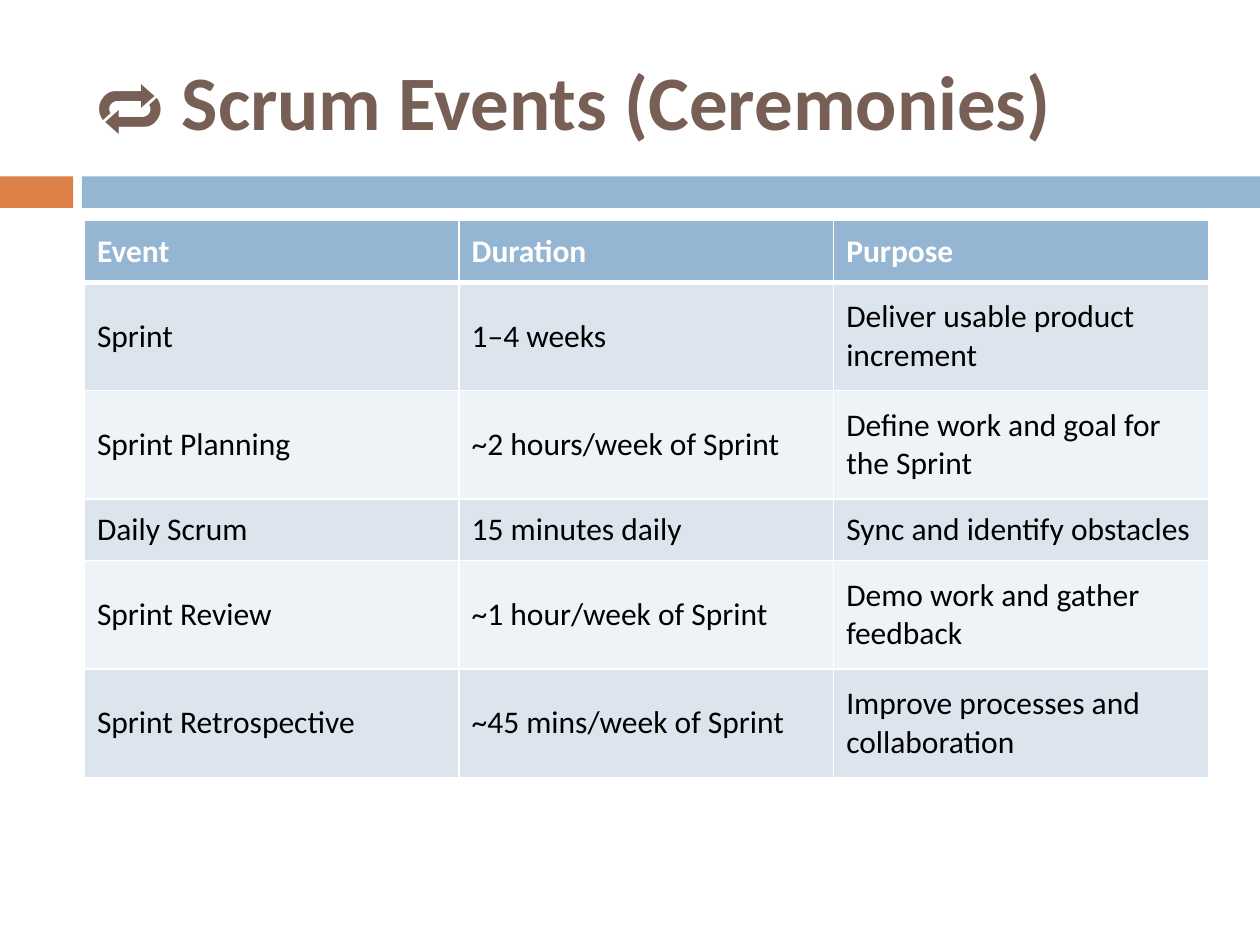
from lxml.etree import SubElement
from pptx import Presentation
from pptx.dml.color import RGBColor
from pptx.enum.shapes import MSO_SHAPE
from pptx.enum.text import MSO_ANCHOR
from pptx.oxml.ns import qn
from pptx.util import Inches, Pt

COLORS = {
    "orange": "DD8047",
    "blue": "94B6D2",
    "brown": "775F55",
    "white": "FFFFFF",
    "black": "000000",
    "band_dark": "DCE5EE",
    "band_light": "EEF3F7",
}

EVENTS = [
    ("Event", "Duration", "Purpose"),
    ("Sprint", "1–4 weeks", "Deliver usable product increment"),
    ("Sprint Planning", "~2 hours/week of Sprint", "Define work and goal for the Sprint"),
    ("Daily Scrum", "15 minutes daily", "Sync and identify obstacles"),
    ("Sprint Review", "~1 hour/week of Sprint", "Demo work and gather feedback"),
    ("Sprint Retrospective", "~45 mins/week of Sprint", "Improve processes and collaboration"),
]
ONE_LINE, TWO_LINES = 0.49, 0.86
ROW_HEIGHTS = [ONE_LINE, TWO_LINES, TWO_LINES, ONE_LINE, TWO_LINES, TWO_LINES]


def rgb(color):
    return RGBColor.from_string(COLORS[color])


class SlideBuilder:
    def __init__(self, slide, font_name="Calibri"):
        self.slide = slide
        self.font_name = font_name

    def add_text(self, paragraph, text, size, color, bold=False):
        run = paragraph.add_run()
        run.text = text
        font_format = {"name": self.font_name, "size": Pt(size), "bold": bold}
        for attribute, value in font_format.items():
            setattr(run.font, attribute, value)
        run.font.color.rgb = rgb(color)

    def bar(self, left, top, width, height, color):
        shape = self.slide.shapes.add_shape(
            MSO_SHAPE.RECTANGLE, Inches(left), Inches(top), Inches(width), Inches(height))
        shape.shadow.inherit = False
        shape.fill.solid()
        shape.fill.fore_color.rgb = rgb(color)
        shape.line.fill.background()

    def title(self, left, top, width, height, runs):
        """Set a one-line title from (text, bold) pairs."""
        box = self.slide.shapes.add_textbox(
            Inches(left), Inches(top), Inches(width), Inches(height))
        frame = box.text_frame
        frame.word_wrap = True
        frame.vertical_anchor = MSO_ANCHOR.MIDDLE
        for text, bold in runs:
            self.add_text(frame.paragraphs[0], text, 44, "brown", bold)

    def cell_borders(self, cell, widths):
        """Add white borders; widths maps L, R, T and B, in that order, to points."""
        properties = cell._tc.get_or_add_tcPr()
        for side, width in widths.items():
            line = SubElement(properties, qn(f"a:ln{side}"), w=str(Pt(width)))
            fill = SubElement(line, qn("a:solidFill"))
            SubElement(fill, qn("a:srgbClr"), val=COLORS["white"])

    def table(self, left, top, width, rows, row_heights):
        table = self.slide.shapes.add_table(
            len(rows), len(rows[0]), Inches(left), Inches(top),
            Inches(width), Inches(sum(row_heights))).table
        for row_index, (texts, height) in enumerate(zip(rows, row_heights)):
            table.rows[row_index].height = Inches(height)
            header = row_index == 0
            fill = "blue" if header else ("band_light", "band_dark")[row_index % 2]
            widths = {"L": 1, "R": 1, "T": 3 if row_index == 1 else 1, "B": 3 if header else 1}
            for column_index, text in enumerate(texts):
                cell = table.cell(row_index, column_index)
                cell.vertical_anchor = MSO_ANCHOR.MIDDLE
                self.cell_borders(cell, widths)
                cell.fill.solid()
                cell.fill.fore_color.rgb = rgb(fill)
                self.add_text(cell.text_frame.paragraphs[0], text, 18,
                              "white" if header else "black", header)


def main():
    presentation = Presentation()
    presentation.slide_width = Inches(10)
    presentation.slide_height = Inches(7.5)
    builder = SlideBuilder(presentation.slides.add_slide(presentation.slide_layouts[6]))

    builder.bar(0, 1.4, 0.58, 0.25, "orange")
    builder.bar(0.65, 1.4, 9.35, 0.25, "blue")
    builder.title(0.67, 0.25, 8.92, 1.08,
                  [("🔁 ", False), ("Scrum Events (Ceremonies)", True)])
    builder.table(0.67, 1.75, 8.92, EVENTS, ROW_HEIGHTS)

    presentation.save("out.pptx")


if __name__ == "__main__":
    main()
